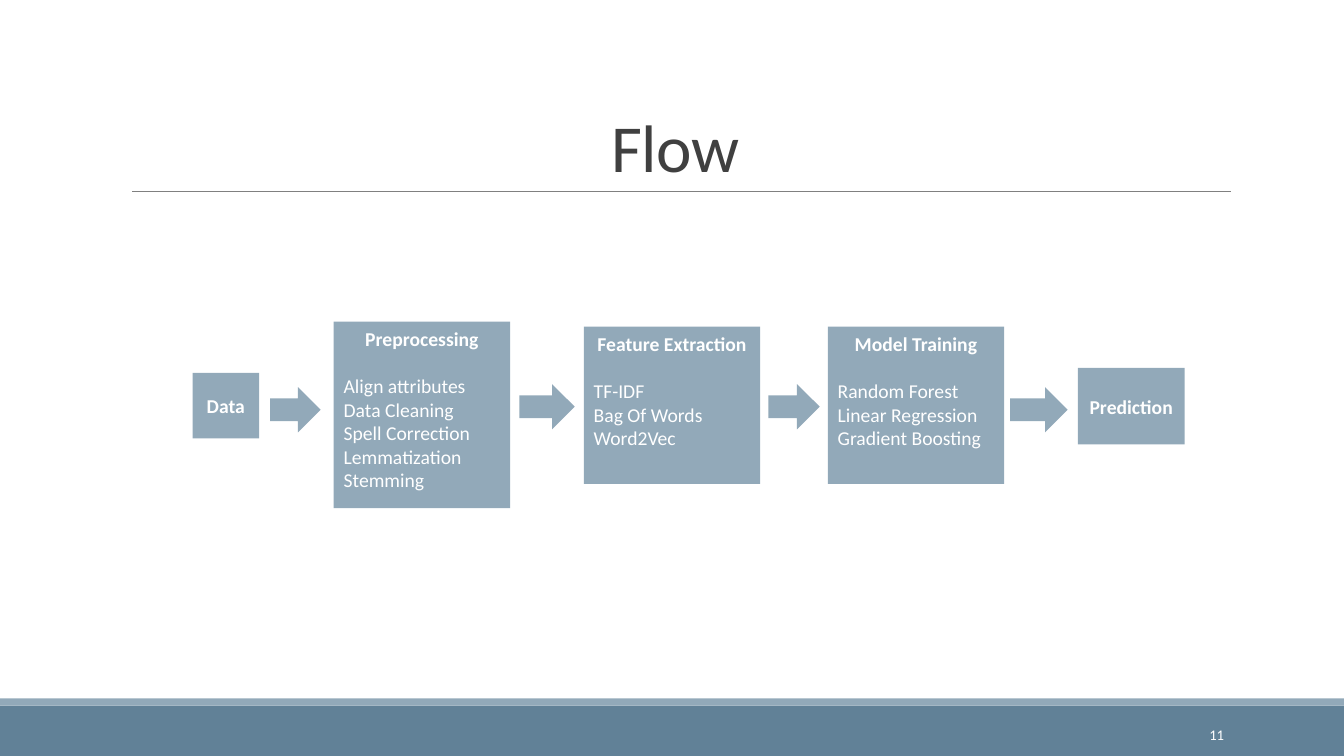
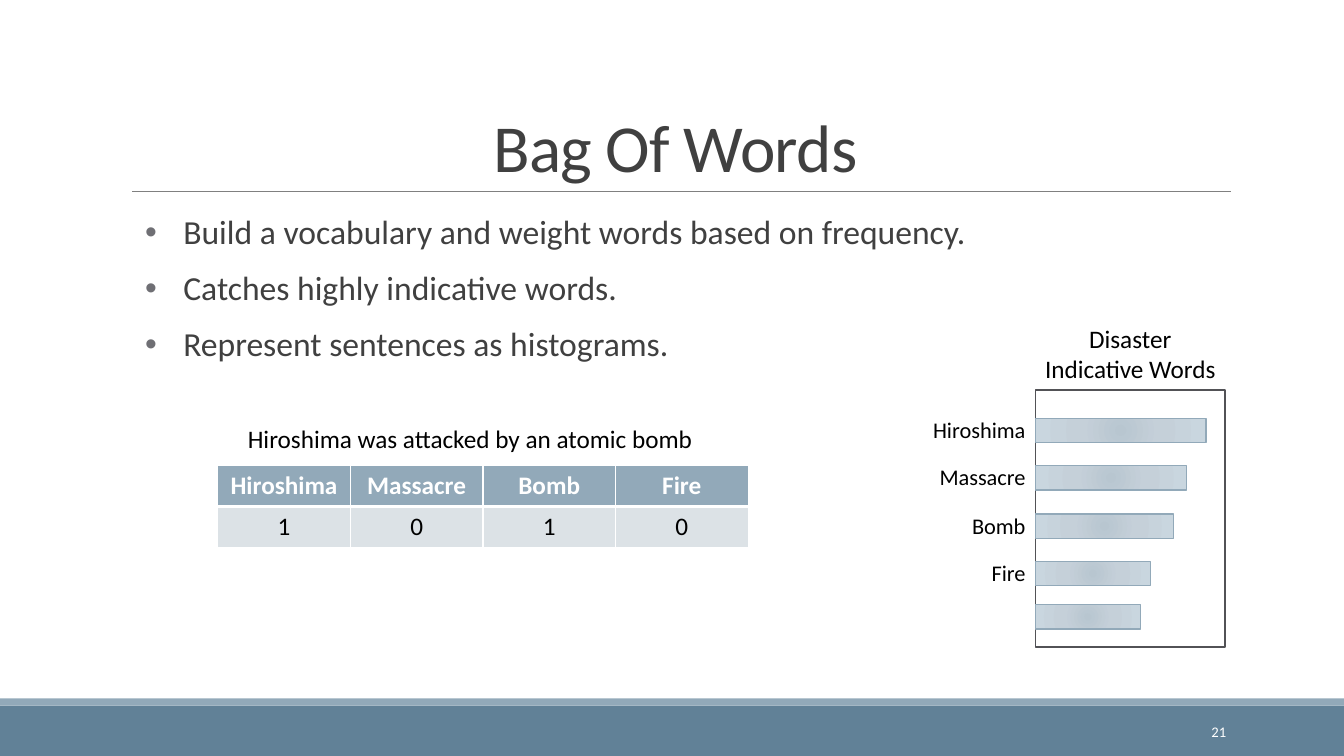
from lxml.etree import SubElement
from pptx import Presentation
from pptx.dml.color import RGBColor
from pptx.enum.shapes import MSO_CONNECTOR, MSO_SHAPE
from pptx.enum.text import MSO_ANCHOR, PP_ALIGN
from pptx.oxml import parse_xml
from pptx.oxml.ns import nsdecls, qn
from pptx.util import Emu, Inches, Pt

SLIDE_WIDTH, SLIDE_HEIGHT = 13.33, 7.5
FONT = "Calibri"
WHITE = RGBColor(0xFF, 0xFF, 0xFF)
BLACK = RGBColor(0, 0, 0)
DARK_GRAY = RGBColor(0x40, 0x40, 0x40)
RULE_GRAY = RGBColor(0x80, 0x80, 0x80)
FRAME_GRAY = RGBColor(0x52, 0x52, 0x56)
BULLET_GRAY = RGBColor(0x6F, 0x6F, 0x74)
BAND_BLUE = RGBColor(0x61, 0x81, 0x97)
ACCENT = RGBColor(0x92, 0xA9, 0xB9)
PALE = RGBColor(0xDC, 0xE2, 0xE6)
BAR_STOPS = [
    (0, RGBColor(0xB8, 0xC6, 0xD0)),
    (45, RGBColor(0xC5, 0xD0, 0xD9)),
    (100, RGBColor(0xC9, 0xD6, 0xDF)),
]

STAGES = [
    ("Data", [], (1.91, 3.7, 0.66, 0.65)),
    ("Preprocessing",
     ["Align attributes", "Data Cleaning", "Spell Correction", "Lemmatization", "Stemming"],
     (3.31, 3.19, 1.75, 1.85)),
    ("Feature Extraction", ["TF-IDF", "Bag Of Words", "Word2Vec"], (5.79, 3.24, 1.75, 1.56)),
    ("Model Training", ["Random Forest", "Linear Regression", "Gradient Boosting"],
     (8.21, 3.24, 1.75, 1.56)),
    ("Prediction", [], (10.69, 3.65, 1.06, 0.76)),
]
ARROWS = [(2.68, 3.84, 0.5), (5.15, 3.81, 0.55), (7.62, 3.81, 0.51), (10.02, 3.84, 0.57)]
ARROW_HEIGHT = 0.45

BULLETS = [
    "Build a vocabulary and weight words based on frequency.",
    "Catches highly indicative words.",
    "Represent sentences as histograms.",
]
SENTENCE = "Hiroshima was attacked by an atomic bomb"
WORD_COUNTS = [("Hiroshima", 1), ("Massacre", 0), ("Bomb", 1), ("Fire", 0)]
HISTOGRAM_TITLE = "Disaster Indicative Words"
HISTOGRAM = (10.27, 3.87, 1.88, 2.55)
BARS = [
    ("Hiroshima", 4.15, 1.69),
    ("Massacre", 4.62, 1.5),
    ("Bomb", 5.1, 1.37),
    ("Fire", 5.57, 1.14),
    ("", 6, 1.04),
]
BAR_HEIGHT, LABEL_WIDTH = 0.24, 1.14


def inches(bounds):
    return [Inches(length) for length in bounds]


def write(frame, texts, size, color, align=PP_ALIGN.LEFT, bold=False):
    for index, text in enumerate(texts):
        para = frame.paragraphs[0] if index == 0 else frame.add_paragraph()
        para.text = text
        para.alignment = align
        para.font.name = FONT
        para.font.size = Pt(size)
        para.font.bold = bold
        para.font.color.rgb = color
    return frame.paragraphs


def add_text(page, bounds, texts, size, color, align=PP_ALIGN.LEFT, anchor=MSO_ANCHOR.TOP):
    frame = page.shapes.add_textbox(*inches(bounds)).text_frame
    frame.word_wrap = True
    frame.vertical_anchor = anchor
    return write(frame, texts, size, color, align)


def add_block(page, kind, bounds, fill=None, line=None, line_width=1):
    block = page.shapes.add_shape(kind, *inches(bounds))
    block.shadow.inherit = False
    if fill is None:
        block.fill.background()
    else:
        block.fill.solid()
        block.fill.fore_color.rgb = fill
    if line is None:
        block.line.fill.background()
    else:
        block.line.color.rgb = line
        block.line.width = Pt(line_width)
    return block


def add_page(deck, title, number, number_place):
    page = deck.slides.add_slide(deck.slide_layouts[6])
    for top, height, color in ((7, 0.5, BAND_BLUE), (6.93, 0.07, ACCENT)):
        add_block(page, MSO_SHAPE.RECTANGLE, (0, top, SLIDE_WIDTH, height), color)
    rule = page.shapes.add_connector(MSO_CONNECTOR.STRAIGHT, *inches((1.31, 1.9, 12.21, 1.9)))
    rule.line.color.rgb = RULE_GRAY
    rule.line.width = Pt(0.5)
    SubElement(rule._element.spPr, qn("a:effectLst"))
    heading = add_text(page, (1.2, 0.31, 11, 1.59), [title], 48, DARK_GRAY,
                       PP_ALIGN.CENTER, MSO_ANCHOR.BOTTOM)[0]
    heading.line_spacing = 0.85
    heading.font._element.set("spc", "-50")
    add_text(page, (*number_place, 1.43, 0.4), [str(number)], 10.5, WHITE,
             PP_ALIGN.RIGHT, MSO_ANCHOR.MIDDLE)
    return page


def add_stage(page, name, methods, bounds):
    frame = add_block(page, MSO_SHAPE.RECTANGLE, bounds, ACCENT).text_frame
    frame.word_wrap = True
    frame.vertical_anchor = MSO_ANCHOR.TOP if methods else MSO_ANCHOR.MIDDLE
    paras = write(frame, [name, *methods], 14, WHITE)
    paras[0].alignment = PP_ALIGN.CENTER
    paras[0].font.bold = True
    if methods:
        paras[0].space_after = Pt(17)


def add_bullets(page):
    for para in add_text(page, (1.34, 2.09, 10.86, 2.14), BULLETS, 24, DARK_GRAY):
        para.line_spacing = 0.9
        para.space_before = Pt(12)
        para.space_after = Pt(2)
        properties = para._p.get_or_add_pPr()
        properties.set("marL", str(Inches(0.38)))
        properties.set("indent", str(-Inches(0.38)))
        for markup in (
            f'<a:buClr {nsdecls("a")}><a:srgbClr val="{BULLET_GRAY}"/></a:buClr>',
            f'<a:buFont {nsdecls("a")} typeface="Arial"/>',
            f'<a:buChar {nsdecls("a")} char="•"/>',
        ):
            properties[-1].addprevious(parse_xml(markup))


def set_borders(cell, widths):
    properties = cell._tc.get_or_add_tcPr()
    for index, (side, width) in enumerate(zip("LRTB", widths)):
        properties.insert(index, parse_xml(
            f'<a:ln{side} {nsdecls("a")} w="{Pt(width)}"><a:solidFill>'
            f'<a:srgbClr val="{WHITE}"/></a:solidFill></a:ln{side}>'))


def add_word_table(page):
    add_text(page, (2.36, 4.15, 5.26, 0.4), [SENTENCE], 18, BLACK)
    bounds = inches((2.16, 4.62, 5.26, 0.81))
    table = page.shapes.add_table(2, len(WORD_COUNTS), *bounds).table
    table.horz_banding = False
    for column in table.columns:
        column.width = Emu(bounds[2] // len(WORD_COUNTS))
    row_styles = [(ACCENT, WHITE, True, (1, 1, 1, 3)), (PALE, BLACK, False, (1, 1, 3, 1))]
    for column, values in enumerate(WORD_COUNTS):
        for row, (fill, color, bold, widths) in enumerate(row_styles):
            cell = table.cell(row, column)
            cell.fill.solid()
            cell.fill.fore_color.rgb = fill
            write(cell.text_frame, [str(values[row])], 18, color, PP_ALIGN.CENTER, bold)
            set_borders(cell, widths)


def fill_radial(block):
    stops = "".join(f'<a:gs pos="{share * 1000}"><a:srgbClr val="{color}"/></a:gs>'
                    for share, color in BAR_STOPS)
    gradient = parse_xml(
        f'<a:gradFill {nsdecls("a")} rotWithShape="1"><a:gsLst>{stops}</a:gsLst>'
        '<a:path path="circle"><a:fillToRect l="100000" t="100000" r="100000" b="100000"/>'
        '</a:path></a:gradFill>')
    properties = block._element.spPr
    properties.replace(properties.find(qn("a:solidFill")), gradient)


def add_histogram(page):
    left, top, width, height = HISTOGRAM
    add_block(page, MSO_SHAPE.RECTANGLE, HISTOGRAM, line=FRAME_GRAY, line_width=1.25)
    add_text(page, (left - 0.05, top - 0.71, width + 0.1, 0.71), [HISTOGRAM_TITLE],
             18, BLACK, PP_ALIGN.CENTER)
    for word, bar_top, bar_width in BARS:
        bar = add_block(page, MSO_SHAPE.RECTANGLE, (left, bar_top, bar_width, BAR_HEIGHT),
                        ACCENT, ACCENT)
        fill_radial(bar)
        if word:
            add_text(page, (left - LABEL_WIDTH, bar_top - 0.07, LABEL_WIDTH, 0.37), [word],
                     16, BLACK, PP_ALIGN.RIGHT)


def main():
    deck = Presentation()
    deck.slide_width, deck.slide_height = inches((SLIDE_WIDTH, SLIDE_HEIGHT))

    flow = add_page(deck, "Flow", 11, (10.81, 7.09))
    for stage in STAGES:
        add_stage(flow, *stage)
    for left, top, width in ARROWS:
        add_block(flow, MSO_SHAPE.RIGHT_ARROW, (left, top, width, ARROW_HEIGHT), ACCENT)

    words = add_page(deck, "Bag Of Words", 21, (10.83, 7.06))
    add_bullets(words)
    add_word_table(words)
    add_histogram(words)

    deck.save("out.pptx")


if __name__ == "__main__":
    main()
